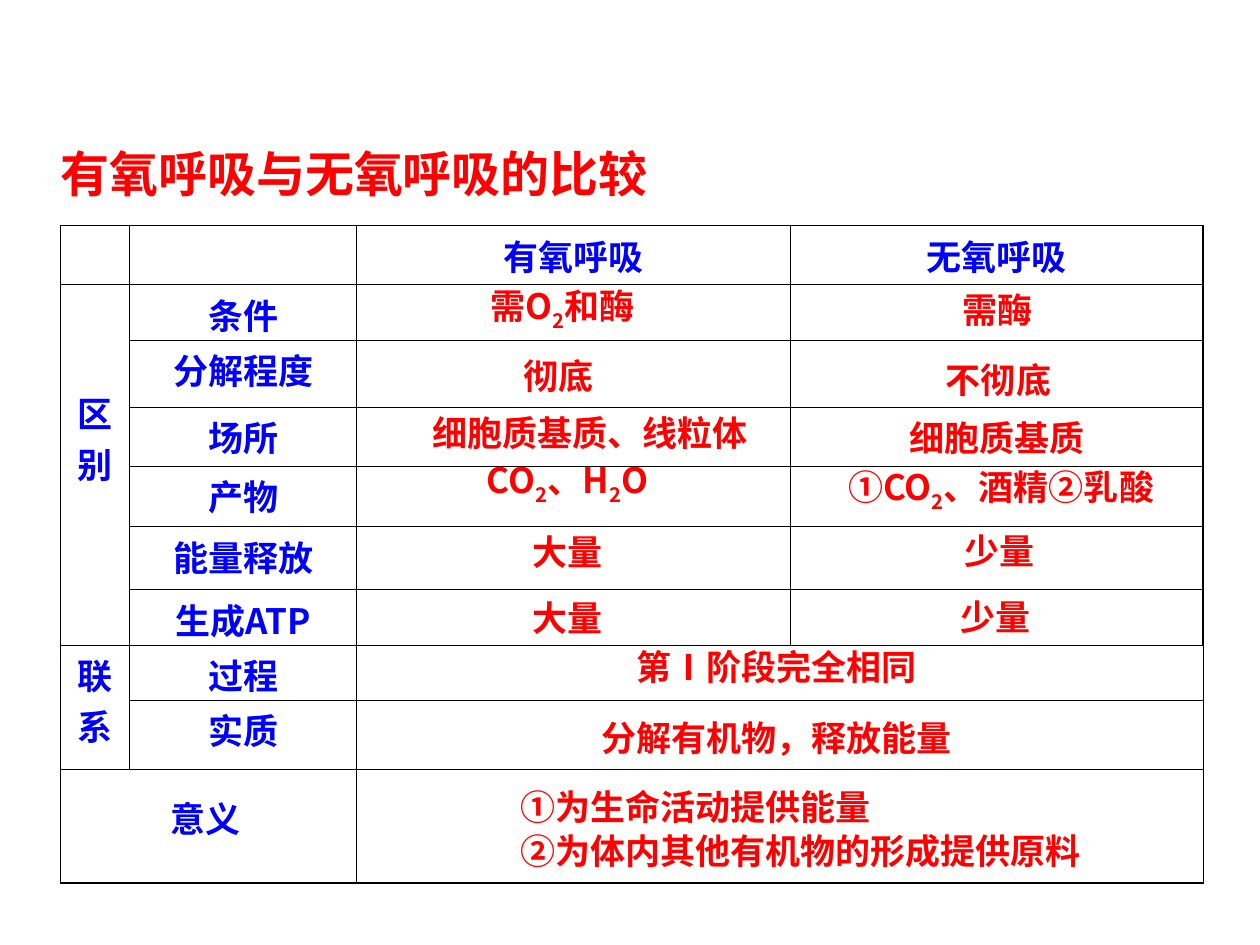
import dataclasses

import pptx
import pptx.dml.color
import pptx.enum.text
import pptx.oxml.ns
import pptx.util
from lxml import etree
from pptx.util import Inches

RED = pptx.dml.color.RGBColor(0xFF, 0x00, 0x00)
BLUE = pptx.dml.color.RGBColor(0x00, 0x00, 0xFF)
WHITE = pptx.dml.color.RGBColor(0xFF, 0xFF, 0xFF)
CJK_FONT = "Noto Sans CJK SC"
CENTER = pptx.enum.text.PP_ALIGN.CENTER
LEFT = pptx.enum.text.PP_ALIGN.LEFT
OUTER_LINE = 1.08
INNER_LINE = 0.45

COLUMN_WIDTHS = [0.55, 1.8, 3.44, 3.28]
ROW_HEIGHTS = [0.47, 0.44, 0.53, 0.47, 0.48, 0.5, 0.44, 0.44, 0.55, 0.9]
ASPECTS = ["条件", "分解程度", "场所", "产物", "能量释放", "生成ATP", "过程", "实质"]
MERGES = [(1, 0, 6, 0), (7, 0, 8, 0), (7, 2, 7, 3), (8, 2, 8, 3), (9, 2, 9, 3)]

ANSWERS = [
    ("需O|2|和酶", 2.9, 0.45, 2.17),
    ("需酶", 6.35, 0.44, 2.17),
    ("彻底", 2.87, 0.96, 2.17),
    ("不彻底", 6.36, 0.99, 2.17),
    ("细胞质基质、线粒体", 2.08, 1.41, 4.25),
    ("细胞质基质", 6.35, 1.45, 2.17),
    ("CO|2|、H|2|O", 2.94, 1.83, 2.17),
    ("①CO|2|、酒精②乳酸", 5.62, 1.89, 3.69),
    ("大量", 2.94, 2.36, 2.17),
    ("少量", 6.37, 2.35, 2.17),
    ("大量", 2.94, 2.88, 2.17),
    ("少量", 6.34, 2.87, 2.17),
    ("第Ⅰ阶段完全相同", 2.27, 3.27, 6.83),
    ("分解有机物，释放能量", 2.27, 3.83, 6.83),
]
MEANINGS = ["①为生命活动提供能量", "②为体内其他有机物的形成提供原料"]


@dataclasses.dataclass
class Box:
    left: float
    top: float
    width: float
    height: float

    def inside(self, left, top, width, height):
        return Box(self.left + left, self.top + top, width, height)

    def lengths(self):
        return [Inches(value) for value in dataclasses.astuple(self)]


def format_paragraph(para, size, color, alignment=CENTER, font_name=CJK_FONT):
    para.alignment = alignment
    para.font.size = pptx.util.Pt(size)
    para.font.bold = True
    para.font.color.rgb = color
    para.font.name = font_name
    properties = para._p.pPr.find(pptx.oxml.ns.qn("a:defRPr"))
    east_asian = etree.SubElement(properties, pptx.oxml.ns.qn("a:ea"))
    east_asian.set("typeface", CJK_FONT)


def add_spans(para, text):
    for index, part in enumerate(text.split("|")):
        span = para.add_run()
        span.text = part
        if index % 2:
            span._r.get_or_add_rPr().set("baseline", "-25000")


def add_text(page, box, lines, color, alignment=CENTER, font_name=CJK_FONT, spacing=None):
    frame = page.shapes.add_textbox(*box.lengths()).text_frame
    frame.word_wrap = True
    frame.auto_size = pptx.enum.text.MSO_AUTO_SIZE.SHAPE_TO_FIT_TEXT
    for index, line in enumerate(lines):
        para = frame.add_paragraph() if index else frame.paragraphs[0]
        add_spans(para, line)
        para.line_spacing = spacing
        format_paragraph(para, 20, color, alignment, font_name)


def set_border(cell, side, width):
    properties = cell._tc.get_or_add_tcPr()
    line = etree.SubElement(properties, pptx.oxml.ns.qn(f"a:ln{side}"))
    if width is None:
        etree.SubElement(line, pptx.oxml.ns.qn("a:noFill"))
        return
    line.set("w", str(int(pptx.util.Pt(width))))
    fill = etree.SubElement(line, pptx.oxml.ns.qn("a:solidFill"))
    etree.SubElement(fill, pptx.oxml.ns.qn("a:srgbClr")).set("val", "000000")


def format_cell(cell, row, column):
    last_row, last_column = len(ROW_HEIGHTS) - 1, len(COLUMN_WIDTHS) - 1
    widths = {
        "L": OUTER_LINE if column == 0 else INNER_LINE,
        "R": OUTER_LINE if column == last_column else INNER_LINE,
        "T": OUTER_LINE if row == 0 else INNER_LINE,
        "B": OUTER_LINE if row == last_row else INNER_LINE,
    }
    if row == last_row and column < 2:
        widths["R" if column == 0 else "L"] = None
    for side, width in widths.items():
        set_border(cell, side, width)
    cell.fill.solid()
    cell.fill.fore_color.rgb = WHITE
    cell.margin_top = Inches(0.03)
    cell.margin_bottom = 0


def fill_title(page, box):
    title = page.shapes.title
    title.left, title.top, title.width, title.height = box.lengths()
    frame = title.text_frame
    frame.vertical_anchor = pptx.enum.text.MSO_ANCHOR.MIDDLE
    para = frame.paragraphs[0]
    add_spans(para, "有氧呼吸与无氧呼吸的比较")
    format_paragraph(para, 28, RED, LEFT, "Times New Roman")


def add_comparison_table(page, box):
    table = page.shapes.add_table(
        len(ROW_HEIGHTS), len(COLUMN_WIDTHS), *box.lengths()
    ).table
    table.first_row = table.horz_banding = False
    for column, width in zip(table.columns, COLUMN_WIDTHS):
        column.width = Inches(width)
    for row, height in zip(table.rows, ROW_HEIGHTS):
        row.height = Inches(height)
    for row in range(len(ROW_HEIGHTS)):
        for column in range(len(COLUMN_WIDTHS)):
            format_cell(table.cell(row, column), row, column)
    for top, left, bottom, right in MERGES:
        table.cell(top, left).merge(table.cell(bottom, right))

    labels = {(0, 2): "有氧呼吸", (0, 3): "无氧呼吸", (1, 0): "区别", (7, 0): "联系"}
    labels.update({(row, 1): text for row, text in enumerate(ASPECTS, 1)})
    for position, text in labels.items():
        para = table.cell(*position).text_frame.paragraphs[0]
        add_spans(para, text)
        format_paragraph(para, 20, BLUE)
    table.cell(1, 0).margin_top = Inches(0.81)


def add_answers(page, box):
    spacing = pptx.util.Pt(25)
    for text, left, top, width in ANSWERS:
        add_text(page, box.inside(left, top, width, 0.45), [text], RED, spacing=spacing)
    add_text(page, box.inside(3.55, 4.38, 5.2, 0.8), MEANINGS, RED, LEFT, spacing=spacing)
    add_text(page, box.inside(0.5, 4.49, 1.31, 0.44), ["意义"], BLUE, font_name="Arial")


def main():
    deck = pptx.Presentation()
    deck.slide_width, deck.slide_height = Inches(10), Inches(7.5)
    page = deck.slides.add_slide(deck.slide_layouts[5])
    table_box = Box(0.48, 1.79, sum(COLUMN_WIDTHS), sum(ROW_HEIGHTS))
    fill_title(page, Box(0.38, 1.09, 5.44, 0.57))
    add_comparison_table(page, table_box)
    add_answers(page, table_box)
    deck.save("out.pptx")


if __name__ == "__main__":
    main()
